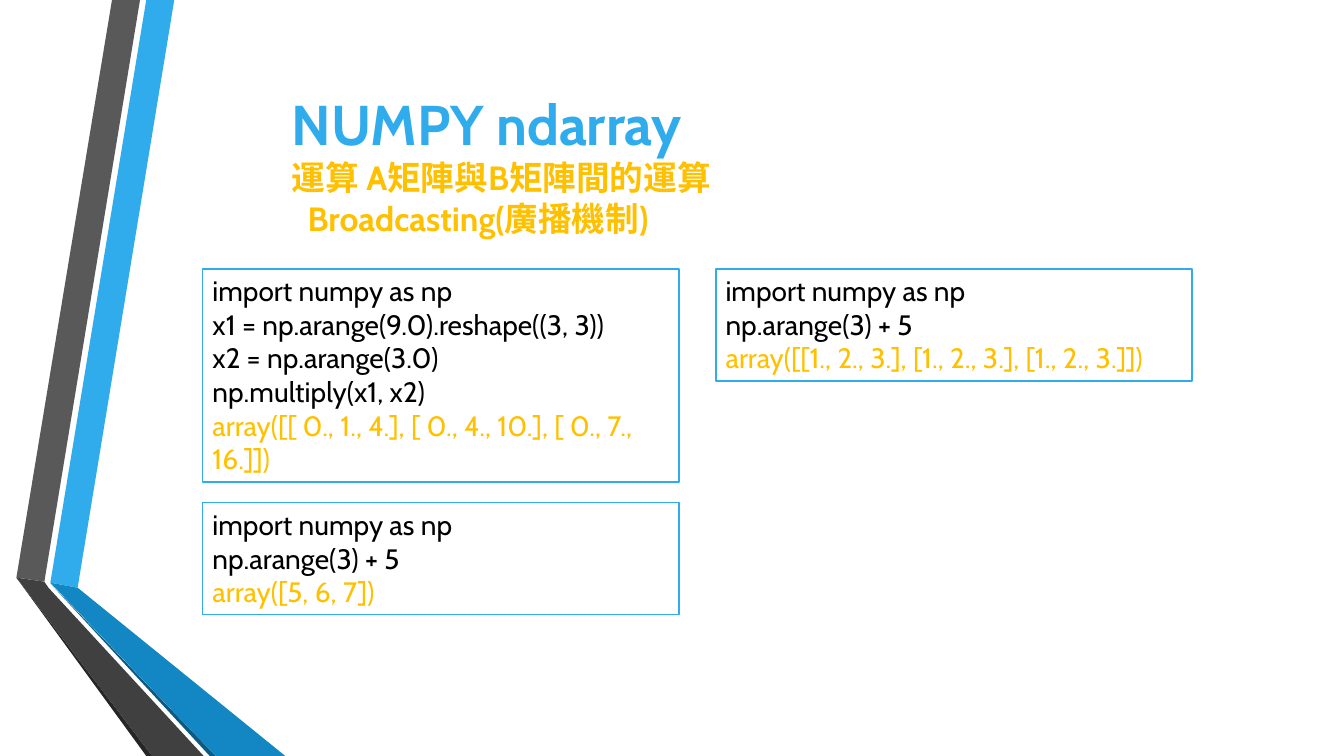
import pptx
import pptx.dml.color
import pptx.enum.shapes
import pptx.enum.text
import pptx.util

Pt = pptx.util.Pt

# Content
FONT = "Cabin"
BLUE, GOLD, BLACK, WHITE = "30ACEC", "FFC000", "000000", "FFFFFF"

# Text, size, colour, left indent
TITLE_LINES = [
    ("NUMPY ndarray", 40, BLUE, 0),
    ("運算 A矩陣與B矩陣間的運算", 24, GOLD, 0),
    ("Broadcasting(廣播機制)", 24, GOLD, 11.5),
]

# Column, top, height, code lines, result
CODE_BOXES = [
    (0, 192, 152.5,
     ["import numpy as np", "x1 = np.arange(9.0).reshape((3, 3))",
      "x2 = np.arange(3.0)", "np.multiply(x1, x2)"],
     "array([[ 0., 1., 4.], [ 0., 4., 10.], [ 0., 7., 16.]])"),
    (1, 192, 80, ["import numpy as np", "np.arange(3) + 5"],
     "array([[1., 2., 3.], [1., 2., 3.], [1., 2., 3.]])"),
    (0, 359, 80, ["import numpy as np", "np.arange(3) + 5"],
     "array([5, 6, 7])"),
]

# Folded ribbons: colour and corner points
RIBBONS = [
    (BLUE, [(36, 416.2), (55.5, 419.8), (124.5, 0), (104.5, 0)]),
    ("595959", [(100, 0), (80, 0), (11.7, 412.6), (31.7, 415.5)]),
    ("262626", [(11.7, 412.6), (104.5, 540), (108.7, 540)]),
    ("0C5A82", [(36, 416.8), (149.8, 540), (154, 540)]),
    ("1287C3", [(36, 416.2), (154, 540), (203.8, 540), (55.5, 419.8)]),
    ("404040", [(145.5, 540), (34.6, 419.8), (31.7, 415.5), (11.7, 412.6),
                (108.7, 540)]),
]

COLUMN_LEFT, COLUMN_STEP, COLUMN_WIDTH = 144.7, 366.5, 340.5


def colour(value):
    return pptx.dml.color.RGBColor.from_string(value)


def fill_shape(shape, value):
    shape.shadow.inherit = False
    shape.fill.solid()
    shape.fill.fore_color.rgb = colour(value)


def format_paragraph(para, size, value, bold=False):
    para.alignment = pptx.enum.text.PP_ALIGN.LEFT
    for span in para.runs:
        span.font.name = FONT
        span.font.size = Pt(size)
        span.font.bold = bold
        span.font.color.rgb = colour(value)


deck = pptx.Presentation()
deck.slide_width, deck.slide_height = Pt(960), Pt(540)
page = deck.slides.add_slide(deck.slide_layouts[5])

# Ribbons on the left edge
for value, corners in RIBBONS:
    points = [(Pt(x), Pt(y)) for x, y in corners]
    builder = page.shapes.build_freeform(*points[0])
    builder.add_line_segments(points[1:], close=True)
    ribbon = builder.convert_to_shape()
    fill_shape(ribbon, value)
    ribbon.line.fill.background()

# Title
title = page.shapes.title
title.left, title.top, title.width, title.height = Pt(201), Pt(57), Pt(322), Pt(120)
frame = title.text_frame
frame.word_wrap = True
frame.auto_size = pptx.enum.text.MSO_AUTO_SIZE.NONE
frame.vertical_anchor = pptx.enum.text.MSO_ANCHOR.MIDDLE
frame.text = "\n".join(line[0] for line in TITLE_LINES)
for para, (_, size, value, indent) in zip(frame.paragraphs, TITLE_LINES):
    format_paragraph(para, size, value, bold=True)
    if indent:
        para._p.get_or_add_pPr().set("marL", str(Pt(indent)))

# Code boxes, each ending with its result
for column, top, height, code, result in CODE_BOXES:
    box = page.shapes.add_shape(
        pptx.enum.shapes.MSO_SHAPE.RECTANGLE,
        Pt(COLUMN_LEFT + column * COLUMN_STEP), Pt(top),
        Pt(COLUMN_WIDTH), Pt(height))
    fill_shape(box, WHITE)
    box.line.color.rgb = colour(BLUE)
    box.line.width = Pt(1.25)
    frame = box.text_frame
    frame.word_wrap = True
    frame.auto_size = pptx.enum.text.MSO_AUTO_SIZE.SHAPE_TO_FIT_TEXT
    frame.vertical_anchor = pptx.enum.text.MSO_ANCHOR.TOP
    frame.text = "\n".join(code + [result])
    for para in frame.paragraphs:
        format_paragraph(para, 20, BLACK)
    format_paragraph(frame.paragraphs[-1], 20, GOLD)

deck.save("out.pptx")
